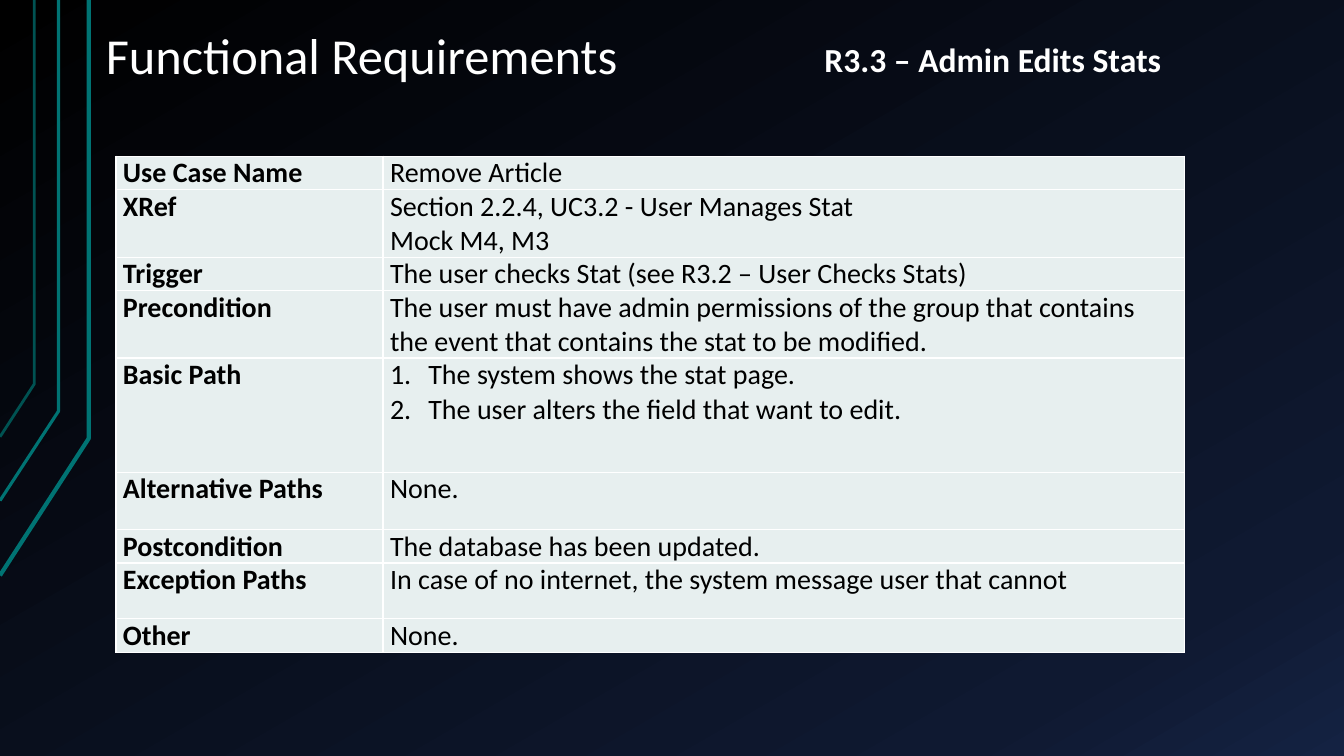
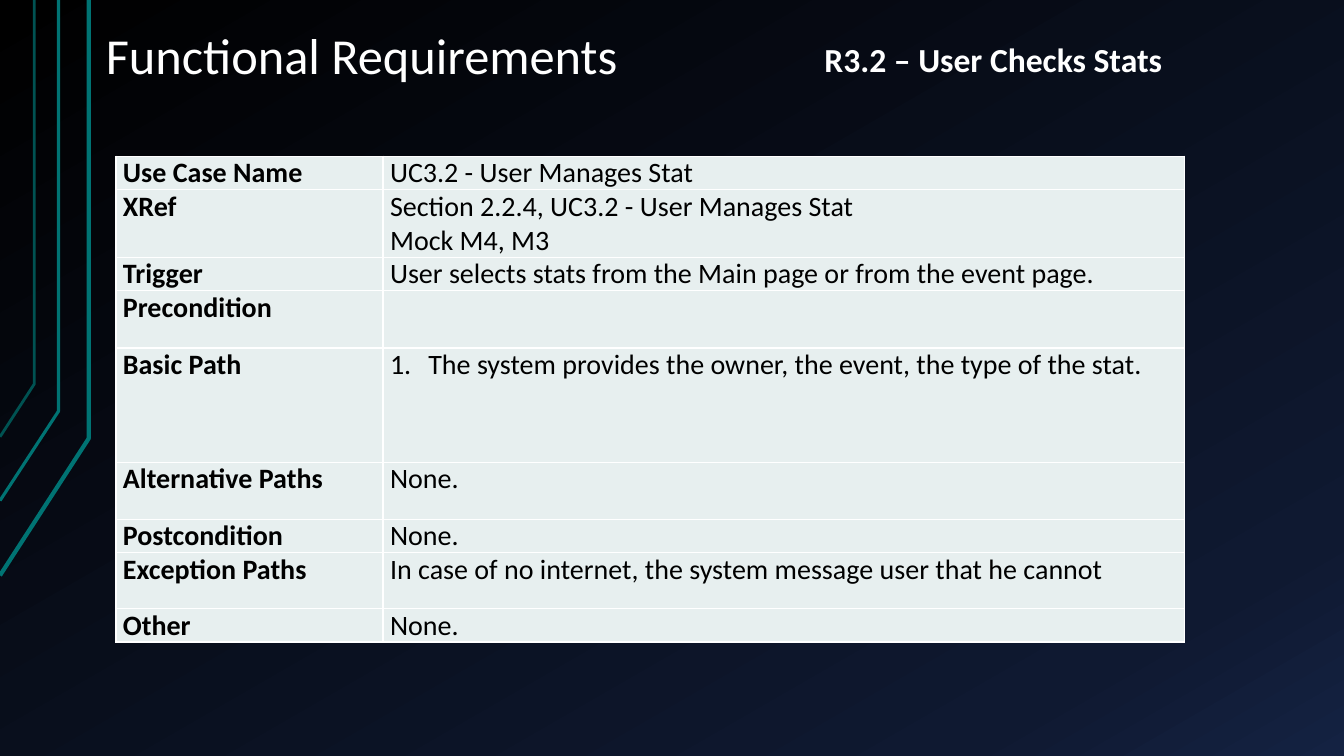
from copy import deepcopy

from lxml.etree import SubElement
from pptx import Presentation
from pptx.dml.color import RGBColor
from pptx.enum.text import MSO_ANCHOR
from pptx.oxml.ns import qn
from pptx.util import Emu, Inches, Pt

COLUMNS, ROWS = 80, 45
SLIDE_WIDTH, SLIDE_HEIGHT = Inches(13.33), Inches(7.5)
FONT = "Calibri"
COLOURS = {
    "white": "FFFFFF",
    "text": "000000",
    "cell": "E7EFEF",
    "teal": "007373",
    "dim_teal": "005252",
}
BACKDROP = [(0, "000000"), (0.85, "0F1931"), (1, "142242")]

# Boxes are left, top, width, height in grid columns and rows
TITLE_BOX = (5.52, 0, 68, 5.52)
REQUIREMENT_BOX = (48.48, 2.04, 21.9, 3)
TABLE_BOX = (6.9, 9.3, 63.6, 28.8)
LABEL_SHARE = 0.25
# Column of the upright, row of the bend, row at the slide's edge, width, colour
CIRCUIT_LINES = [
    (5.28, 26.1, 34.25, 3, "teal"),
    (3.48, 24.48, 29.8, 2.25, "teal"),
    (2.04, 22.86, 26, 2, "dim_teal"),
]

# Label and row height in grid rows
FIELDS = [
    ("Use Case Name", 2),
    ("XRef", 3.9),
    ("Trigger", 2),
    ("Precondition", 3.4),
    ("Basic Path", 6.8),
    ("Alternative Paths", 3.4),
    ("Postcondition", 2),
    ("Exception Paths", 3.3),
    ("Other", 2),
]
XREF = ["Section 2.2.4, UC3.2 - User Manages Stat", "Mock M4, M3"]
REQUIREMENTS = [
    ("R3.3 – Admin Edits Stats", {
        "Use Case Name": ["Remove Article"],
        "XRef": XREF,
        "Trigger": ["The user checks Stat (see R3.2 – User Checks Stats)"],
        "Precondition": ["The user must have admin permissions of the group that "
                         "contains the event that contains the stat to be modified."],
        "Basic Path": ["The system shows the stat page.",
                       "The user alters the field that want to edit."],
        "Alternative Paths": ["None."],
        "Postcondition": ["The database has been updated."],
        "Exception Paths": ["In case of no internet, the system message user that cannot"],
        "Other": ["None."],
    }),
    ("R3.2 – User Checks Stats", {
        "Use Case Name": ["UC3.2 - User Manages Stat"],
        "XRef": XREF,
        "Trigger": ["User selects stats from the Main page or from the event page."],
        "Basic Path": ["The system provides the owner, the event, the type of the stat."],
        "Alternative Paths": ["None."],
        "Postcondition": ["None."],
        "Exception Paths": ["In case of no internet, the system message user that he cannot"],
        "Other": ["None."],
    }),
]


def across(columns):
    return Emu(round(SLIDE_WIDTH * columns / COLUMNS))


def down(rows):
    return Emu(round(SLIDE_HEIGHT * rows / ROWS))


def place(box):
    left, top, width, height = box
    return across(left), down(top), across(width), down(height)


def rgb(name):
    return RGBColor.from_string(COLOURS[name])


def style(paragraph, size, colour, bold=False):
    font = paragraph.font
    font.name, font.size, font.bold = FONT, Pt(size), bold
    font.color.rgb = rgb(colour)


def paint_backdrop(slide):
    fill = slide.background.fill
    fill.gradient()
    fill.gradient_angle = 300
    stop_list = slide.element.find(".//" + qn("a:gsLst"))
    stop_list.append(deepcopy(stop_list[-1]))
    for stop, (position, colour) in zip(fill.gradient_stops, BACKDROP):
        stop.position = position
        stop.color.rgb = RGBColor.from_string(colour)


def draw_circuit(slide):
    for column, bend, edge, width, colour in CIRCUIT_LINES:
        outline = slide.shapes.build_freeform(0, down(edge))
        outline.add_line_segments(
            [(across(column), down(bend)), (across(column), 0)], close=False)
        trace = outline.convert_to_shape()
        trace.shadow.inherit = False
        trace.fill.background()
        trace.line.color.rgb = rgb(colour)
        trace.line.width = Pt(width)


def add_heading(slide, box, text, size, anchor, bold=False, wrap=True, inset=(0.1, 0.05)):
    frame = slide.shapes.add_textbox(*place(box)).text_frame
    frame.word_wrap = wrap
    frame.vertical_anchor = anchor
    frame.margin_left = frame.margin_right = Inches(inset[0])
    frame.margin_top = frame.margin_bottom = Inches(inset[1])
    heading = frame.paragraphs[0]
    heading.text = text
    style(heading, size, "white", bold)
    return heading


def outline_cell(cell):
    properties = cell._tc.get_or_add_tcPr()
    for side in ("a:lnL", "a:lnR", "a:lnT", "a:lnB"):
        border = SubElement(properties, qn(side), w=str(Pt(1)))
        fill = SubElement(border, qn("a:solidFill"))
        SubElement(fill, qn("a:srgbClr"), val=COLOURS["white"])


def number(paragraph):
    properties = paragraph._p.get_or_add_pPr()
    properties.set("marL", str(Inches(0.38)))
    properties.set("indent", str(-Inches(0.38)))
    SubElement(properties, qn("a:buFont"), typeface="+mj-lt")
    SubElement(properties, qn("a:buAutoNum"), type="arabicPeriod")


def fill_cell(cell, lines, bold=False, numbered=False):
    outline_cell(cell)
    cell.fill.solid()
    cell.fill.fore_color.rgb = rgb("cell")
    cell.margin_left = cell.margin_right = Inches(0.07)
    cell.margin_top = cell.margin_bottom = 0
    cell.text = "\n".join(lines)
    for paragraph in cell.text_frame.paragraphs:
        if numbered:
            number(paragraph)
        style(paragraph, 20, "text", bold)


def add_use_case(slide, box, details):
    table = slide.shapes.add_table(len(FIELDS), 2, *place(box)).table
    table.first_row = table.horz_banding = False
    for column, share in zip(table.columns, (LABEL_SHARE, 1 - LABEL_SHARE)):
        column.width = across(box[2] * share)
    for row, (label, height) in zip(table.rows, FIELDS):
        row.height = down(height)
        label_cell, detail_cell = row.cells
        fill_cell(label_cell, [label], bold=True)
        fill_cell(detail_cell, details.get(label, []), numbered=label == "Basic Path")


def add_requirement_slide(deck, requirement, details):
    slide = deck.slides.add_slide(deck.slide_layouts[6])
    paint_backdrop(slide)
    draw_circuit(slide)
    title = add_heading(slide, TITLE_BOX, "Functional Requirements", 36,
                        MSO_ANCHOR.BOTTOM, inset=(0.13, 0.07))
    title.line_spacing = 0.9
    add_use_case(slide, TABLE_BOX, details)
    add_heading(slide, REQUIREMENT_BOX, requirement, 24,
                MSO_ANCHOR.MIDDLE, bold=True, wrap=False)


def main():
    deck = Presentation()
    deck.slide_width, deck.slide_height = SLIDE_WIDTH, SLIDE_HEIGHT
    for requirement, details in REQUIREMENTS:
        add_requirement_slide(deck, requirement, details)
    deck.save("out.pptx")


if __name__ == "__main__":
    main()
